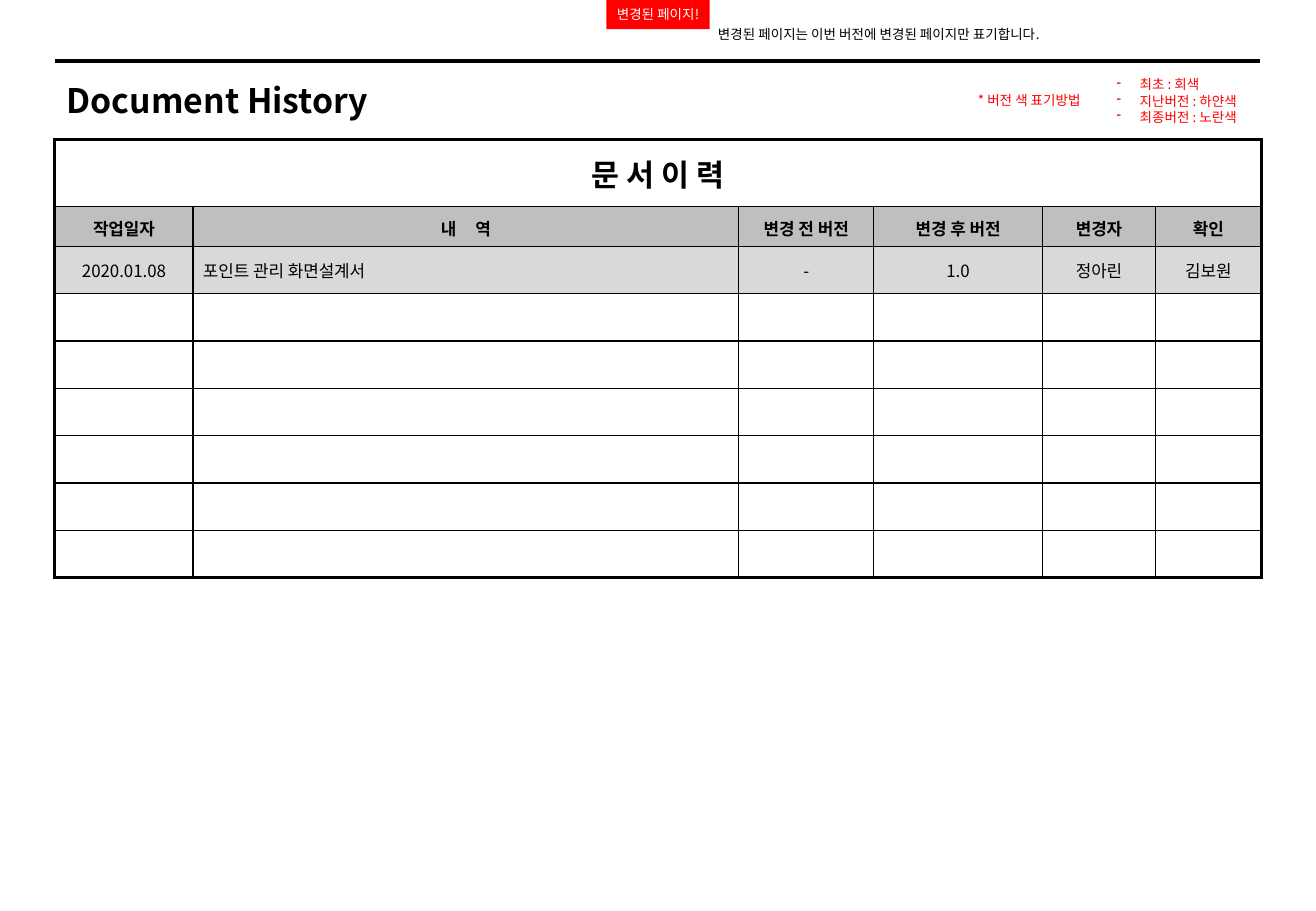
from lxml import etree
from pptx import Presentation, util as u
from pptx.dml.color import RGBColor
from pptx.enum import shapes, text
from pptx.oxml.ns import qn

FONT = "Noto Sans CJK KR"
BLACK = RGBColor(0x00, 0x00, 0x00)
WHITE = RGBColor(0xFF, 0xFF, 0xFF)
RED = RGBColor(0xFF, 0x00, 0x00)
HEADER_GRAY = RGBColor(0xBF, 0xBF, 0xBF)
FIRST_GRAY = RGBColor(0xD9, 0xD9, 0xD9)
CENTER, LEFT = text.PP_ALIGN.CENTER, text.PP_ALIGN.LEFT
MIDDLE, TOP = text.MSO_ANCHOR.MIDDLE, text.MSO_ANCHOR.TOP

deck = Presentation()
deck.slide_width, deck.slide_height = u.Inches(10.83), u.Inches(7.5)
page = deck.slides.add_slide(deck.slide_layouts[6])
MARGIN, CONTENT_WIDTH = 0.45, 9.92


def add_span(para, words, size, color, bold=False):
    span = para.add_run()
    span.text = words
    span.font.size, span.font.bold, span.font.name = u.Pt(size), bold, FONT
    span.font.color.rgb = color
    etree.SubElement(span.font._element, qn("a:ea"), typeface=FONT)
    return span


def add_label(area, lines, size, color, bold=False, anchor=TOP, wrap=False):
    box = page.shapes.add_textbox(*map(u.Inches, area))
    box.text_frame.word_wrap = wrap
    box.text_frame.vertical_anchor = anchor
    for index, words in enumerate(lines):
        para = box.text_frame.paragraphs[0] if index == 0 else box.text_frame.add_paragraph()
        add_span(para, words, size, color, bold)
    return box


add_label((MARGIN, 0.52, CONTENT_WIDTH, 0.61), ["Document History"], 20, BLACK, True, MIDDLE, True)

rule = page.shapes.add_connector(
    shapes.MSO_CONNECTOR.STRAIGHT,
    *map(u.Inches, (MARGIN, 0.5, MARGIN + CONTENT_WIDTH, 0.5)))
rule.line.color.rgb, rule.line.width = BLACK, u.Pt(2.25)
etree.SubElement(rule._element.spPr, qn("a:effectLst"))

columns = [1.14, 4.49, 1.11, 1.39, 0.93, 0.87]
rows = [0.55, 0.32] + [0.39] * 7
contents = [
    ["문 서 이 력"],
    ["작업일자", "내 역", "변경 전 버전", "변경 후 버전", "변경자", "확인"],
    ["2020.01.08", "포인트 관리 화면설계서", "-", "1.0", "정아린", "김보원"],
]
row_fills = {1: HEADER_GRAY, 2: FIRST_GRAY}
last_row, last_column = len(rows) - 1, len(columns) - 1

history = page.shapes.add_table(
    len(rows), len(columns),
    *map(u.Inches, (MARGIN, 1.15, CONTENT_WIDTH, sum(rows)))).table
history.first_row = history.horz_banding = False
for column, width in zip(history.columns, columns):
    column.width = u.Inches(width)
for row, height in zip(history.rows, rows):
    row.height = u.Inches(height)
history.cell(0, 0).merge(history.cell(0, last_column))

for r in range(len(rows)):
    for c in range(len(columns)):
        cell = history.cell(r, c)
        cell.vertical_anchor = MIDDLE
        side, edge = (0.1, 0.05) if r == 0 else (0.08, 0.08)
        cell.margin_left = cell.margin_right = u.Inches(side)
        cell.margin_top = cell.margin_bottom = u.Inches(edge)

        outer = {"lnL": c == 0, "lnR": c == last_column or r == 0,
                 "lnT": r == 0, "lnB": r == last_row}
        for name, thick in outer.items():
            border = etree.SubElement(cell._tc.get_or_add_tcPr(), qn("a:" + name),
                                      w=str(u.Pt(2.25 if thick else 1)))
            paint = etree.SubElement(border, qn("a:solidFill"))
            etree.SubElement(paint, qn("a:srgbClr"), val=str(BLACK))
        if r in row_fills:
            cell.fill.solid()
            cell.fill.fore_color.rgb = row_fills[r]
        else:
            cell.fill.background()

        para = cell.text_frame.paragraphs[0]
        if r < len(contents) and c < len(contents[r]):
            words = contents[r][c]
            para.alignment = LEFT if (r, c) == (2, 1) else CENTER
            parts = ["내", " ", "역"] if words == "내 역" else [words]
            for part in parts:
                span = add_span(para, part, 18 if r == 0 else 10, BLACK, r < 2)
                if part == " ":
                    span.font._element.set("spc", "900")
        else:
            etree.SubElement(para._p, qn("a:endParaRPr"), sz="1000")

legend = add_label((9.09, 0.58, 1.28, 0.56),
                   ["최초 : 회색", "지난버전 : 하얀색", "최종버전 : 노란색"], 8, RED)
for para in legend.text_frame.paragraphs:
    props = para._p.get_or_add_pPr()
    props.set("marL", str(u.Inches(0.19)))
    props.set("indent", str(u.Inches(-0.19)))
    bullet_color = etree.SubElement(props, qn("a:buClr"))
    etree.SubElement(bullet_color, qn("a:srgbClr"), val="990033")
    etree.SubElement(props, qn("a:buChar"), char="-")
legend_title = add_label((7.95, 0.71, 1.16, 0.24), ["* 버전 색 표기방법"], 8, RED)
for box in (legend, legend_title):
    box.text_frame.auto_size = text.MSO_AUTO_SIZE.SHAPE_TO_FIT_TEXT

badge = page.shapes.add_shape(shapes.MSO_SHAPE.RECTANGLE, *map(u.Inches, (4.99, 0, 0.85, 0.24)))
badge.shadow.inherit = False
badge.fill.solid()
badge.fill.fore_color.rgb = RED
badge.line.fill.background()
badge.text_frame.word_wrap = False
badge.text_frame.vertical_anchor = MIDDLE
badge.text_frame.paragraphs[0].alignment = CENTER
add_span(badge.text_frame.paragraphs[0], "변경된 페이지!", 8, WHITE)

add_label((5.81, 0.16, 3.22, 0.24), ["변경된 페이지는 이번 버전에 변경된 페이지만 표기합니다."],
          8, BLACK, anchor=MIDDLE)

deck.save("out.pptx")
